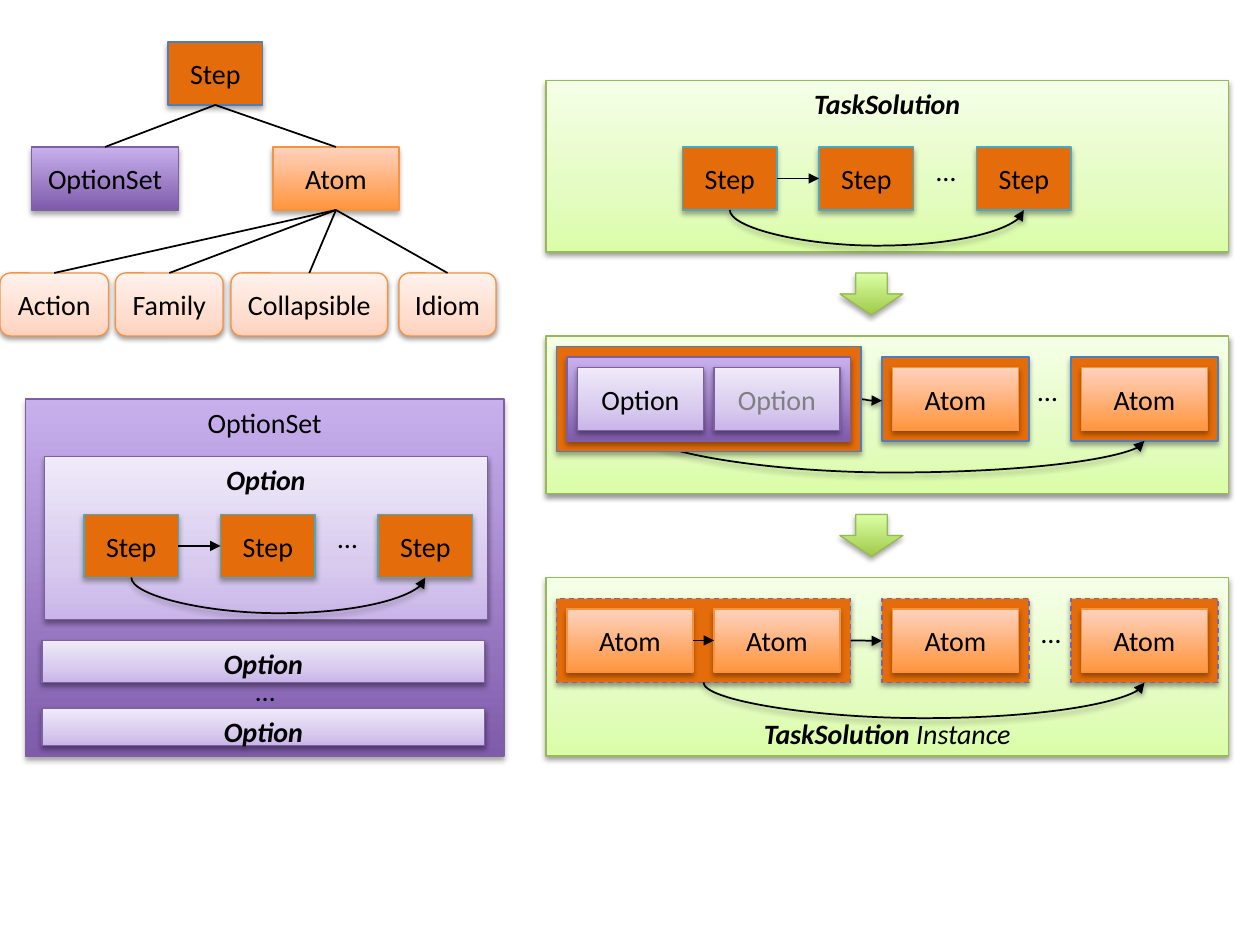
from lxml.etree import SubElement
from pptx import Presentation
from pptx.dml.color import RGBColor
from pptx.enum.dml import MSO_LINE
from pptx.enum.shapes import MSO_CONNECTOR, MSO_SHAPE
from pptx.enum.text import MSO_ANCHOR, MSO_AUTO_SIZE, PP_ALIGN
from pptx.oxml.ns import qn
from pptx.util import Pt

COLORS = {"black": "000000", "gray": "808080", "orange": "E46C0A", "blue": "4B7EBC",
          "teal": "46AAC5", "violet": "8064A2", "purple": "7D60A0", "amber": "F69240", "green": "98B955"}
GRADIENTS = {
    "panel": [(0, "DAFDA7"), (35, "E4FCC2"), (100, "F5FFE7")],
    "arrow": [(0, "A0CA4A"), (100, "DAFFA5")],
    "set": [(0, "7F5BAB"), (100, "C8B0ED")],
    "option": [(0, "C9B5E8"), (35, "D8CBEE"), (100, "F0EAF9")],
    "atom": [(0, "FF953E"), (100, "FFD2BD")],
    "kind": [(0, "FFD2BD"), (35, "FFDED0"), (100, "FFF2ED")],
}
SOFT, STRONG = (38, 1.6), (35, 1.8)
STYLES = {
    "panel": ("green", SOFT), "arrow": ("green", STRONG), "set": ("purple", STRONG),
    "option": ("purple", SOFT), "atom": ("amber", STRONG), "kind": ("amber", SOFT),
    "step": ("blue", STRONG), "row step": ("teal", STRONG), "instance step": ("violet", SOFT),
}
GEOMETRY = {"kind": MSO_SHAPE.ROUNDED_RECTANGLE, "arrow": MSO_SHAPE.DOWN_ARROW}
PLAIN, HEADING, SLANTED = {}, {"bold": True, "italic": True}, {"italic": True}
TOP, MIDDLE, BOTTOM = MSO_ANCHOR.TOP, MSO_ANCHOR.MIDDLE, MSO_ANCHOR.BOTTOM

ROOT = ("step", (96, 24, 54, 36), "Step")
BRANCHES = [("set", (18, 84, 84, 36), "OptionSet"), ("atom", (156, 84, 72, 36), "Atom")]
KINDS = [("Action", 0, 62), ("Family", 66, 61.5), ("Collapsible", 132, 89.5), ("Idiom", 228, 55.5)]
LEAVES = [("kind", (left, 156, width, 36), name) for name, left, width in KINDS]

PANELS = [
    ((312, 46, 390, 98), [("TaskSolution", HEADING)], TOP),
    ((312, 192, 390, 90), [], TOP),
    ((312, 330, 390, 102), [("TaskSolution ", HEADING), ("Instance", SLANTED)], BOTTOM),
]
DOWN_ARROW_TOPS = [156, 294]
OPTION_BOXES = [
    ("set", (14.5, 228, 273.5, 204), [("OptionSet", PLAIN)]),
    ("option", (25.5, 261, 253, 93), [("Option", HEADING)]),
    ("option", (24, 366, 253, 24), [("Option", HEADING)]),
    ("option", (24, 405, 253, 21), [("Option", HEADING)]),
]
ROW_STEP_OFFSETS = [0, 78, 168]
SINGLE_ATOM_LEFTS = [504, 612]

presentation = Presentation()
presentation.slide_width, presentation.slide_height = Pt(720), Pt(540)
slide = presentation.slides.add_slide(presentation.slide_layouts[6])


def color(name):
    return RGBColor.from_string(COLORS[name])


def add_color(parent, value):
    return SubElement(parent, qn("a:srgbClr"), val=value)


def add_shadow(effects, strength):
    opacity, distance = strength
    shadow = SubElement(effects, qn("a:outerShdw"), blurRad=str(Pt(3.1)), dist=str(Pt(distance)),
                        dir="5400000", rotWithShape="0")
    SubElement(add_color(shadow, COLORS["black"]), qn("a:alpha"), val=str(opacity * 1000))


def write(shape, runs, anchor, align, ink="black"):
    frame = shape.text_frame
    frame.vertical_anchor = anchor
    paragraph = frame.paragraphs[0]
    paragraph.alignment = align
    for text, style in runs:
        run = paragraph.add_run()
        run.text = text
        run.font.color.rgb = color(ink)
        for name, value in {"name": "Calibri", "size": Pt(16), **style}.items():
            setattr(run.font, name, value)


def add_box(kind, place, text="", anchor=MIDDLE, ink="black"):
    outline, strength = STYLES[kind]
    shape = slide.shapes.add_shape(GEOMETRY.get(kind, MSO_SHAPE.RECTANGLE), *map(Pt, place))
    if kind in GRADIENTS:
        shape.fill.gradient()
        shape.fill.gradient_angle = 90
        stops = shape._element.spPr.find(".//" + qn("a:gsLst"))
        stops.clear()
        for position, value in GRADIENTS[kind]:
            add_color(SubElement(stops, qn("a:gs"), pos=str(position * 1000)), value)
    else:
        shape.fill.solid()
        shape.fill.fore_color.rgb = color("orange")
    shape.line.color.rgb = color(outline)
    shape.line.width = Pt(0.75)
    if kind == "instance step":
        shape.line.dash_style = MSO_LINE.DASH
    shape.shadow.inherit = False
    add_shadow(shape._element.spPr.find(qn("a:effectLst")), strength)
    if text:
        write(shape, [(text, PLAIN)] if isinstance(text, str) else text, anchor, PP_ALIGN.CENTER, ink)


def add_line(start, end, arrow=True, curved=False):
    kind = MSO_CONNECTOR.CURVE if curved else MSO_CONNECTOR.STRAIGHT
    line = slide.shapes.add_connector(kind, *map(Pt, (*start, *end)))
    line.line.color.rgb = color("black")
    line.line.width = Pt(1)
    properties = line._element.spPr
    if arrow:
        SubElement(properties.find(qn("a:ln")), qn("a:tailEnd"), type="triangle")
    effects = SubElement(properties, qn("a:effectLst"))
    if curved:
        add_shadow(effects, SOFT)
    return line


def add_skip_arrow(left, right, top, drop=0.1, depth=18):
    x, y, span = (left + right) / 2, top + drop / 2, right - left
    line = add_line((x - drop / 2, y - span / 2), (x + drop / 2, y + span / 2), curved=True)
    properties = line._element.spPr
    transform = properties.find(qn("a:xfrm"))
    transform.set("rot", "16200000")
    transform.set("flipH", "1")
    SubElement(properties.find(".//" + qn("a:avLst")), qn("a:gd"), name="adj1",
               fmla=f"val {round(depth / drop * 100000)}")


def add_ellipsis(left, top):
    box = slide.shapes.add_textbox(*map(Pt, (left, top, 26, 26.5)))
    box.text_frame.word_wrap = False
    box.text_frame.auto_size = MSO_AUTO_SIZE.SHAPE_TO_FIT_TEXT
    write(box, [("…", PLAIN)], TOP, PP_ALIGN.LEFT)


def add_step_row(left, top):
    for offset in ROW_STEP_OFFSETS:
        add_box("row step", (left + offset, top, 54, 36), "Step")
    add_skip_arrow(left + 27, left + 195, top + 36)
    add_line((left + 54, top + 18), (left + 78, top + 18))
    add_ellipsis(left + 138, top)


def add_single_atoms(kind, top):
    for left in SINGLE_ATOM_LEFTS:
        add_box(kind, (left, top, 84, 48))
        add_box("atom", (left + 6, top + 6, 72, 36), "Atom")


def join(parent, children):
    left, top, width, height = parent[1]
    for kind, (x, y, w, h), name in children:
        add_line((x + w / 2, y), (left + width / 2, top + height), arrow=False)


for node in [ROOT, *BRANCHES, *LEAVES]:
    add_box(*node)
join(ROOT, BRANCHES)
join(BRANCHES[1], LEAVES)

for place, text, anchor in PANELS:
    add_box("panel", place, text, anchor)
for top in DOWN_ARROW_TOPS:
    add_box("arrow", (480, top, 36, 24))

add_step_row(390, 84)

add_single_atoms("step", 204)
add_skip_arrow(366, 654, 246, drop=6, depth=24)
add_line((486, 228), (504, 229), curved=True)
add_ellipsis(586, 210)
add_box("step", (318, 198, 174, 60))
add_box("set", (324, 204, 162, 48))
for left, ink in [(330, "black"), (408, "gray")]:
    add_box("option", (left, 210, 72, 36), "Option", ink=ink)

add_box("instance step", (318, 342, 168, 48))
for left in (324, 408):
    add_box("atom", (left, 348, 72, 36), "Atom")
add_single_atoms("instance step", 342)
add_ellipsis(588, 348)
add_skip_arrow(402, 654, 390)
add_line((396, 366), (408, 366))
add_line((486, 366), (504, 366.2), curved=True)

for kind, place, text in OPTION_BOXES:
    add_box(kind, place, text, TOP)
add_ellipsis(139, 381.5)
add_step_row(48, 294)

presentation.save("out.pptx")
